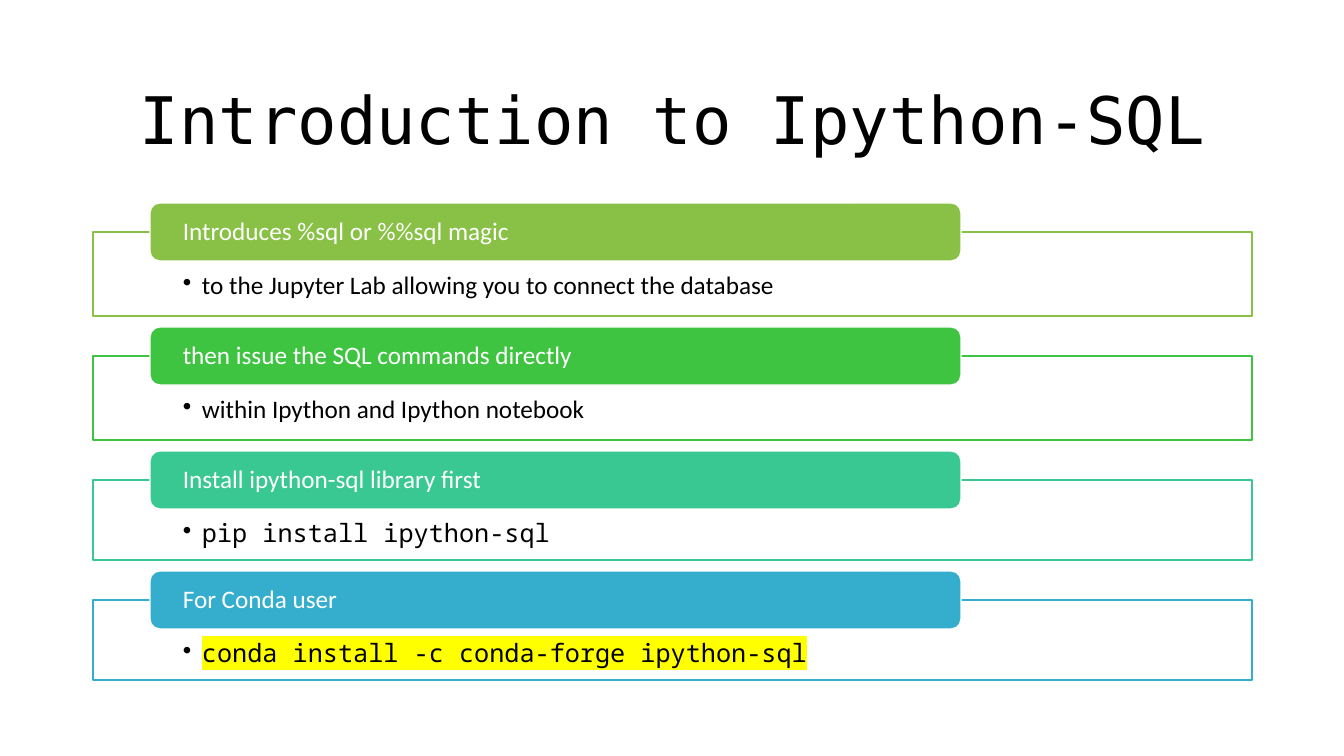
from lxml.etree import SubElement
from pptx import Presentation
from pptx.dml.color import RGBColor
from pptx.enum.shapes import MSO_SHAPE
from pptx.enum.text import MSO_ANCHOR, MSO_AUTO_SIZE, PP_ALIGN
from pptx.oxml import parse_xml
from pptx.oxml.ns import nsdecls, qn
from pptx.util import Pt

BLACK = RGBColor(0x00, 0x00, 0x00)
WHITE = RGBColor(0xFF, 0xFF, 0xFF)
LIME = RGBColor(0x88, 0xC1, 0x45)
GREEN = RGBColor(0x3F, 0xC4, 0x42)
TEAL = RGBColor(0x3A, 0xC8, 0x92)
BLUE = RGBColor(0x35, 0xAD, 0xCD)
YELLOW = RGBColor(0xFF, 0xFF, 0x00)

BODY_FONT, CODE_FONT, TITLE_FONT = "Calibri", "Noto Sans Mono", "DejaVu Sans Mono"

TITLE = "Introduction to Ipython-SQL"
# heading, detail, detail font, colour, frame height, highlight
STEPS = [
    ("Introduces %sql or %%sql magic",
     "to the Jupyter Lab allowing you to connect the database", BODY_FONT, LIME, 84, None),
    ("then issue the SQL commands directly",
     "within Ipython and Ipython notebook", BODY_FONT, GREEN, 84, None),
    ("Install ipython-sql library first",
     "pip install ipython-sql", CODE_FONT, TEAL, 80, None),
    ("For Conda user",
     "conda install -c conda-forge ipython-sql", CODE_FONT, BLUE, 80, YELLOW),
]

PX = 914400 / 100.8
SLIDE_WIDTH, SLIDE_HEIGHT = 1344, 756
LEFT, WIDTH = 93, 1159
TITLE_TOP, TITLE_HEIGHT = 61, 125
FIRST_TOP, GAP = 232, 40
TAB_LEFT, TAB_WIDTH, TAB_HEIGHT = 150, 811, 58
BULLET_INDENT = 19


def px(length):
    return round(length * PX)


def set_all(target, values):
    for name, value in values.items():
        setattr(target, name, value)


def write(shape, text, font, size, color, align, anchor, insets):
    """Fill the shape with one paragraph; insets run left, top, right, bottom."""
    frame = shape.text_frame
    left, top, right, bottom = map(px, insets)
    set_all(frame, {
        "word_wrap": True, "auto_size": MSO_AUTO_SIZE.NONE, "vertical_anchor": anchor,
        "margin_left": left, "margin_top": top,
        "margin_right": right, "margin_bottom": bottom,
    })
    paragraph = frame.paragraphs[0]
    set_all(paragraph, {"alignment": align, "line_spacing": 0.9})
    run = paragraph.add_run()
    run.text = text
    set_all(run.font, {"name": font, "size": Pt(size)})
    run.font.color.rgb = color
    return paragraph


def add_box(kind, left, top, width, height, fill, line):
    box = slide.shapes.add_shape(kind, px(left), px(top), px(width), px(height))
    box.shadow.inherit = False
    box.fill.solid()
    box.fill.fore_color.rgb = fill
    box.line.color.rgb = line
    box.line.width = Pt(1)
    return box


def add_bullet(paragraph, color):
    properties = paragraph._p.get_or_add_pPr()
    properties.set("marL", str(px(BULLET_INDENT)))
    properties.set("indent", str(-px(BULLET_INDENT)))
    bullet_color = SubElement(properties, qn("a:buClr"))
    SubElement(bullet_color, qn("a:srgbClr"), val=str(color))
    SubElement(properties, qn("a:buChar"), char="•")


def add_highlight(run, color):
    text_fill = run.font._element.find(qn("a:solidFill"))
    text_fill.addnext(parse_xml(
        f'<a:highlight {nsdecls("a")}><a:srgbClr val="{color}"/></a:highlight>'))


presentation = Presentation()
presentation.slide_width = px(SLIDE_WIDTH)
presentation.slide_height = px(SLIDE_HEIGHT)
slide = presentation.slides.add_slide(presentation.slide_layouts[5])

title = slide.shapes.title
set_all(title, {"left": px(LEFT), "top": px(TITLE_TOP),
                "width": px(WIDTH), "height": px(TITLE_HEIGHT)})
write(title, TITLE, TITLE_FONT, 46.8, BLACK, PP_ALIGN.CENTER, MSO_ANCHOR.MIDDLE,
      (10, 5, 10, 5))

top = FIRST_TOP
for heading, detail, detail_font, color, height, highlight in STEPS:
    frame_box = add_box(MSO_SHAPE.RECTANGLE, LEFT, top, WIDTH, height, WHITE, color)
    detail_line = write(frame_box, detail, detail_font, 18, BLACK, PP_ALIGN.LEFT,
                        MSO_ANCHOR.TOP, (90, 41, 90, 14))
    detail_line.level = 1
    add_bullet(detail_line, BLACK)
    if highlight:
        add_highlight(detail_line.runs[0], highlight)

    tab = add_box(MSO_SHAPE.ROUNDED_RECTANGLE, TAB_LEFT, top - TAB_HEIGHT / 2,
                  TAB_WIDTH, TAB_HEIGHT, color, WHITE)
    write(tab, heading, BODY_FONT, 18, WHITE, PP_ALIGN.LEFT, MSO_ANCHOR.MIDDLE,
          (30, 0, 30, 0))
    top += height + GAP

presentation.save("out.pptx")
